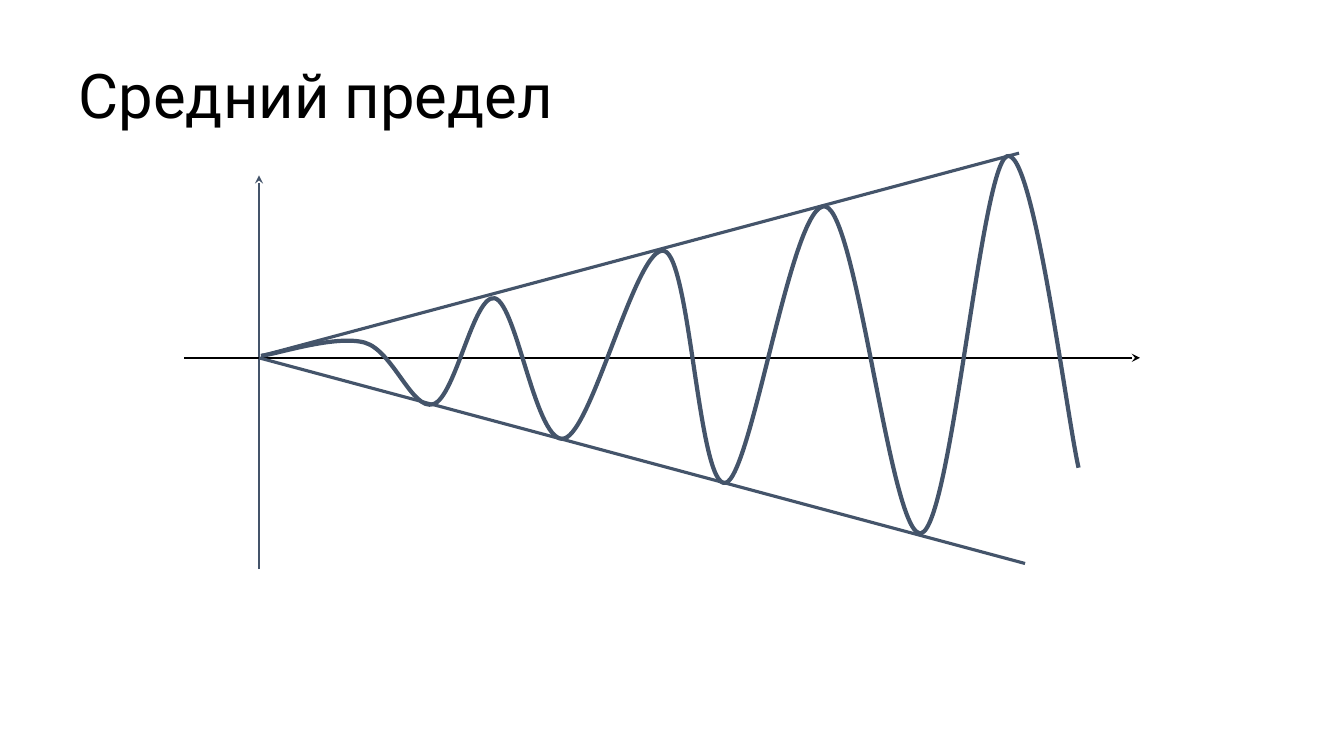
"""Build the slide with an oscillating curve growing between two straight bounds."""
from lxml import etree
from pptx import Presentation
from pptx.dml.color import RGBColor
from pptx.enum import shapes, text
from pptx.oxml import ns
from pptx.util import Pt

BLACK = RGBColor(0x00, 0x00, 0x00)
SLATE = RGBColor(0x44, 0x54, 0x6A)

TITLE = "Средний предел"
LINES = [
    ((185, 406.5), (185, 125.3), SLATE, 1.5, True),
    ((131.8, 255.6), (814.3, 255.6), BLACK, 1.5, True),
    ((186.5, 254.2), (727.9, 109.4), SLATE, 2.25, False),
    ((185, 255.6), (732.2, 402.5), SLATE, 2.25, False),
]
WAVE_START = (186.5, 254.2)
WAVE_CURVES = [
    ((198.7, 252.7), (239.8, 239), (260.6, 244.8)),
    ((280.8, 250.6), (294.5, 293.8), (309.6, 288.7)),
    ((325.4, 283.7), (338.4, 209.5), (353.5, 213.1)),
    ((369.4, 217.4), (383, 319), (403.2, 313.2)),
    ((423.4, 307.4), (455, 173.5), (474.5, 179.3)),
    ((493.2, 184.3), (499, 349.9), (518.4, 344.9)),
    ((537.1, 339.8), (565.9, 141.8), (589.7, 147.6)),
    ((612.7, 153.4), (636.5, 386.6), (658.1, 380.9)),
    ((679.7, 374.4), (700.6, 119.5), (719.3, 111.6)),
    ((738, 104.4), (761.8, 296.6), (770.4, 334.1)),
]


def add_title(page):
    box = page.shapes.title
    box.left, box.top, box.width, box.height = Pt(49), Pt(36), Pt(851), Pt(62)
    frame = box.text_frame
    frame.word_wrap = True
    frame.auto_size = text.MSO_AUTO_SIZE.NONE
    frame.vertical_anchor = text.MSO_ANCHOR.BOTTOM
    para = frame.paragraphs[0]
    para.alignment = text.PP_ALIGN.LEFT
    para.line_spacing = 0.9
    span = para.add_run()
    span.text = TITLE
    span.font.name = "Roboto"
    span.font.size = Pt(44)
    span.font.color.rgb = BLACK


def add_line(page, start, end, color, width, arrow):
    line = page.shapes.add_connector(
        shapes.MSO_CONNECTOR.STRAIGHT, *map(Pt, start + end))
    line.line.color.rgb = color
    line.line.width = Pt(width)
    if arrow:
        outline = line.line._get_or_add_ln()
        etree.SubElement(outline, ns.qn("a:tailEnd"), type="stealth")
    etree.SubElement(line._element.spPr, ns.qn("a:effectLst"))


def add_wave(page):
    builder = page.shapes.build_freeform(*map(Pt, WAVE_START))
    ends = [(Pt(x), Pt(y)) for _, _, (x, y) in WAVE_CURVES]
    builder.add_line_segments(ends, close=False)
    wave = builder.convert_to_shape()
    segments = list(wave._element.iter(ns.qn("a:lnTo")))
    for segment, (first, second, _) in zip(segments, WAVE_CURVES):
        segment.tag = ns.qn("a:cubicBezTo")
        for index, (x, y) in enumerate((first, second)):
            control = etree.Element(
                ns.qn("a:pt"), x=str(Pt(x) - wave.left), y=str(Pt(y) - wave.top))
            segment.insert(index, control)
    wave.shadow.inherit = False
    wave.fill.background()
    wave.line.color.rgb = SLATE
    wave.line.width = Pt(3)


def main():
    deck = Presentation()
    deck.slide_width, deck.slide_height = Pt(960), Pt(540)
    page = deck.slides.add_slide(deck.slide_layouts[5])
    add_title(page)
    for line in LINES:
        add_line(page, *line)
    add_wave(page)
    deck.save("out.pptx")


if __name__ == "__main__":
    main()
